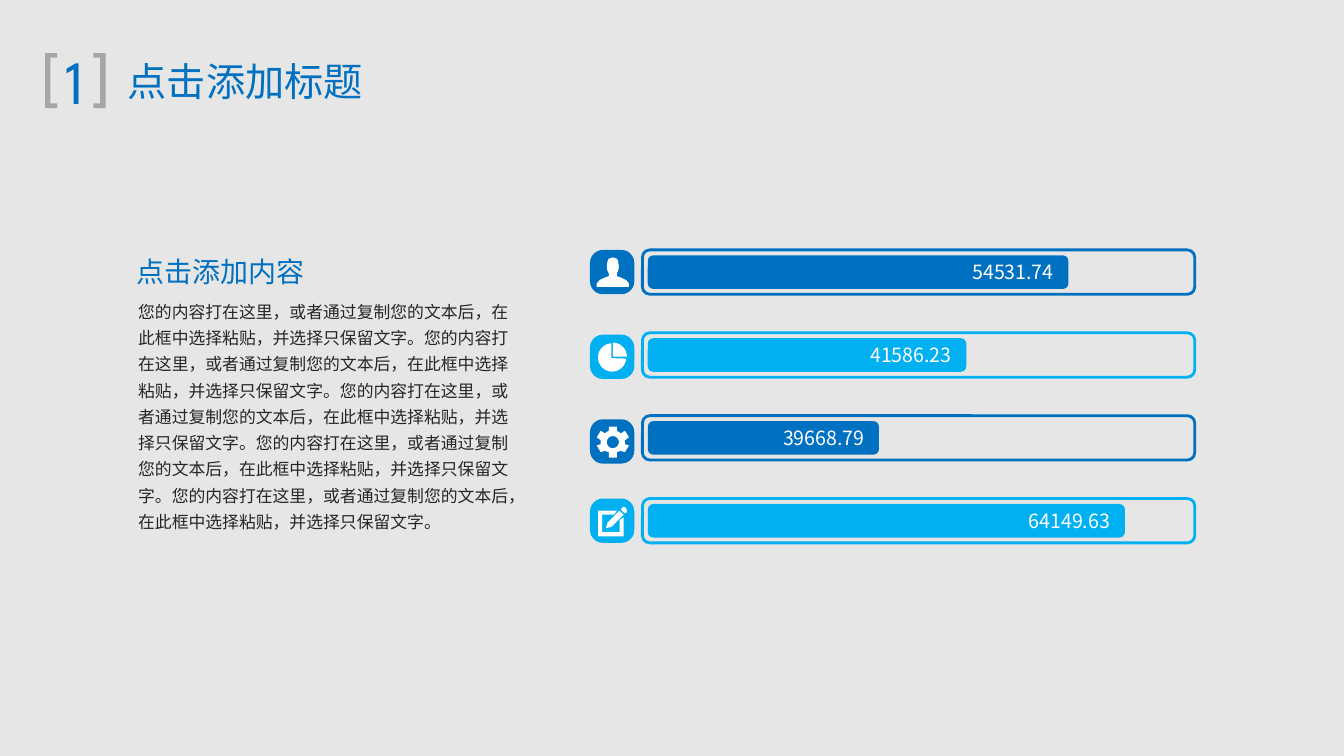
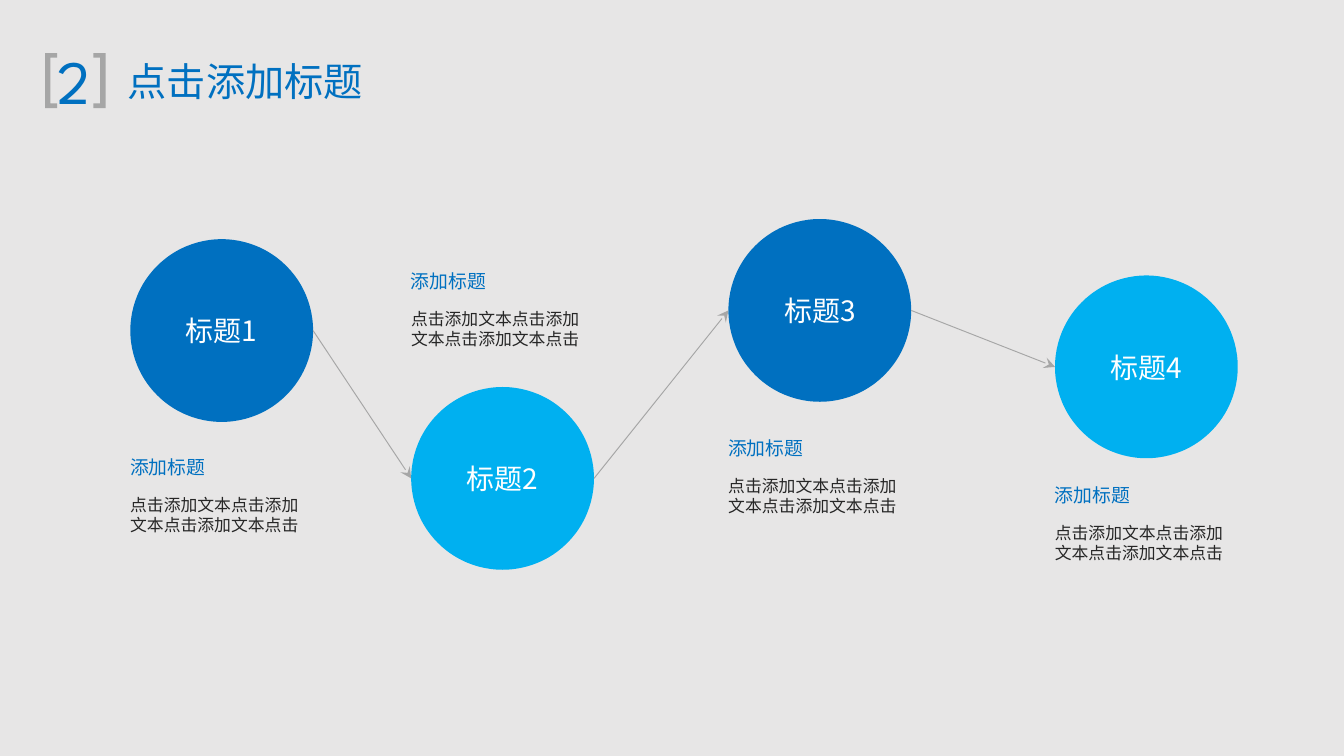
import math
from lxml import etree
from pptx import Presentation
from pptx import util as u
from pptx.dml.color import RGBColor
from pptx.enum import shapes, text
from pptx.oxml import ns

COLORS = {"blue": "0070C0", "sky": "00B0F0", "gray": "A6A6A6",
          "ink": "262626", "white": "FFFFFF", "ground": "E7E6E6"}
BODY_FONT = "Noto Sans CJK SC"
TITLE_FONT = "League Spartan"
Inches = u.Inches
ACCENTS = ("blue", "sky", "blue", "sky")
ALIGN = {"l": text.PP_ALIGN.LEFT, "c": text.PP_ALIGN.CENTER, "r": text.PP_ALIGN.RIGHT}


def color(name):
    return RGBColor.from_string(COLORS[name])


def write(frame, words, size=9, ink="ink", font=BODY_FONT, align="l",
          spacing=None, middle=False, margins=(0.1, 0.05, 0.1, 0.05), wrap=True):
    frame.word_wrap = wrap
    frame.vertical_anchor = text.MSO_ANCHOR.MIDDLE if middle else text.MSO_ANCHOR.TOP
    (frame.margin_left, frame.margin_top,
     frame.margin_right, frame.margin_bottom) = map(Inches, margins)
    paragraph = frame.paragraphs[0]
    paragraph.alignment = ALIGN[align]
    if spacing:
        paragraph.line_spacing = spacing
    run = paragraph.add_run()
    run.text = words
    run.font.size = u.Pt(size)
    run.font.color.rgb = color(ink)
    run.font.name = font
    east_asian = etree.SubElement(run.font._element, ns.qn("a:ea"))
    east_asian.set("typeface", font)


def mirrored(half):
    return half + [(-x, y) for x, y in reversed(half)]


def arc(cx, cy, radius, start, end, steps=32):
    angles = [math.radians(start + (end - start) * i / steps) for i in range(steps + 1)]
    return [(cx + radius * math.cos(a), cy + radius * math.sin(a)) for a in angles]


PERSON = [mirrored([(0, -11.5), (3, -10.5), (4, -8.5), (4.5, -4.5), (4, -1.5), (3, 0.5),
                    (3, 2.5), (6, 3.5), (10, 5.5), (12, 8), (12, 10.5)])]
PIE = [[(0, -0.5)] + arc(0, -0.5, 10.5, -90, 0),
       [(-1, 0.5)] + arc(-0.5, 0, 10.5, 5, 267)]
GEAR = [mirrored([(3, -11.5), (3, -8.5), (6, -6.5), (9, -8.5), (12, -3.5), (9, -1.5),
                  (9, 1.5), (12, 2.5), (9, 7.5), (6, 6.5), (3, 7.5), (3, 11.5)]),
        arc(0, 0, 4.5, 0, 360)]
PENCIL = [[(6, -9), (8, -11), (10, -10), (10.5, -7), (9, -6)],
          [(-4, 1), (5, -8), (8, -5), (-1, 4), (-5, 5)],
          [(5, -1), (5, 8), (-8, 8), (-8, -5), (1, -5), (3, -8),
           (-11, -8), (-11, 11), (8, 11), (8, -3)]]


class Deck:
    def __init__(self):
        self.prs = Presentation()
        self.prs.slide_width = Inches(10)
        self.prs.slide_height = Inches(10) * 9 // 16
        self.slide = None

    def new_slide(self, number, title):
        self.slide = self.prs.slides.add_slide(self.prs.slide_layouts[6])
        ground = self.slide.background.fill
        ground.solid()
        ground.fore_color.rgb = color("ground")
        heading = dict(ink="blue", font=TITLE_FONT, align="c", middle=True, wrap=False)
        self.label(title, 0.84, 0.38, 1.97, 0.45, size=21, **heading)
        self.label(number, 0.32, 0.28, 0.47, 0.64, size=33,
                   margins=(0.1, 0.04, 0.1, 0.05), **heading)
        bracket = [(-22.5, -20.5), (-13.5, -20.5), (-13.5, -17), (-18.5, -17),
                   (-18.5, 17), (-13.5, 17), (-13.5, 20.5), (-22.5, 20.5)]
        for side in (1, -1):
            self.outline([[(side * x, y) for x, y in bracket]], 0.56, 0.6, "gray")

    def label(self, words, x, y, w, h, **style):
        box = self.slide.shapes.add_textbox(*map(Inches, (x, y, w, h)))
        write(box.text_frame, words, **style)
        box.text_frame.auto_size = text.MSO_AUTO_SIZE.SHAPE_TO_FIT_TEXT

    def outline(self, contours, cx, cy, fill):
        def place(points):
            return [(Inches(cx + x / 100), Inches(cy + y / 100)) for x, y in points]

        first, *others = map(place, contours)
        builder = self.slide.shapes.build_freeform(*first[0], scale=1.0)
        builder.add_line_segments(first[1:], close=True)
        for points in others:
            builder.move_to(*points[0])
            builder.add_line_segments(points[1:], close=True)
        self.paint(builder.convert_to_shape(), fill)

    def paint(self, shape, fill=None, line=None):
        shape.shadow.inherit = False
        if fill:
            shape.fill.solid()
            shape.fill.fore_color.rgb = color(fill)
        else:
            shape.fill.background()
        if line:
            shape.line.color.rgb = color(line)
            shape.line.width = u.Pt(1.5)
        else:
            shape.line.fill.background()

    def preset(self, kind, x, y, w, h, fill=None, line=None, words=None, corner=None, **style):
        shape = self.slide.shapes.add_shape(kind, *map(Inches, (x, y, w, h)))
        self.paint(shape, fill, line)
        if corner:
            shape.adjustments[0] = corner
        if words:
            write(shape.text_frame, words, ink="white", middle=True, **style)

    def arrow(self, start, end):
        link = self.slide.shapes.add_connector(
            shapes.MSO_CONNECTOR.STRAIGHT, *map(Inches, (*start, *end)))
        link.line.color.rgb = color("gray")
        link.line.width = u.Pt(0.5)
        tail = etree.SubElement(link.line._get_or_add_ln(), ns.qn("a:tailEnd"))
        tail.set("type", "stealth")
        etree.SubElement(link._element.spPr, ns.qn("a:effectLst"))


def progress_slide(deck):
    deck.new_slide("1", "点击添加标题")
    rounded = shapes.MSO_SHAPE.ROUNDED_RECTANGLE
    rows = [("54531.74", 3.13, 1.86, PERSON), ("41586.23", 2.37, 2.49, PIE),
            ("39668.79", 1.72, 3.12, GEAR), ("64149.63", 3.55, 3.71, PENCIL)]
    pitch = 1.85 / 3
    for i, (value, length, tile_top, icon) in enumerate(rows):
        accent = ACCENTS[i]
        track_top = 1.86 + i * pitch
        deck.preset(rounded, 4.39, tile_top, 0.33, 0.33, fill=accent, corner=0.29)
        deck.outline(icon, 4.56, tile_top + 0.17, "white")
        deck.preset(rounded, 4.78, track_top, 4.11, 0.33, line=accent)
        deck.preset(rounded, 4.82, track_top + 0.04, length, 0.25, fill=accent,
                    words=value, size=10.5, align="r")
    deck.label("点击添加内容", 0.92, 1.77, 2.43, 0.38, size=15, ink="blue",
               spacing=1.5, margins=(0.1, 0, 0.1, 0))
    sentence = "您的内容打在这里，或者通过复制您的文本后，在此框中选择粘贴，并选择只保留文字。"
    deck.label(sentence * 5, 0.93, 2.15, 3.07, 1.87, spacing=1.3)


def steps_slide(deck):
    deck.new_slide("2", "点击添加标题")
    size = 1.36
    steps = [(0.97, 1.78, 3.25), (3.06, 2.88, 1.87), (5.42, 1.63, 3.11), (7.85, 2.05, 3.46)]
    for i, (x, y, _) in enumerate(steps):
        deck.preset(shapes.MSO_SHAPE.OVAL, x, y, size, size, fill=ACCENTS[i],
                    words=f"标题{i + 1}", size=15, align="c")
    for (x1, y1, _), (x2, y2, _) in zip(steps, steps[1:]):
        deck.arrow((x1 + size, y1 + size / 2), (x2, y2 + size / 2))
    for x, _, caption_top in steps:
        deck.label("添加标题", x - 0.1, caption_top, 1.34, 0.36, size=10.1,
                   ink="blue", spacing=1.5, middle=True)
        deck.label("点击添加文本点击添加文本点击添加文本点击",
                   x - 0.1, caption_top + 0.38, 1.55, 0.4)


def main():
    deck = Deck()
    progress_slide(deck)
    steps_slide(deck)
    deck.prs.save("out.pptx")


if __name__ == "__main__":
    main()
